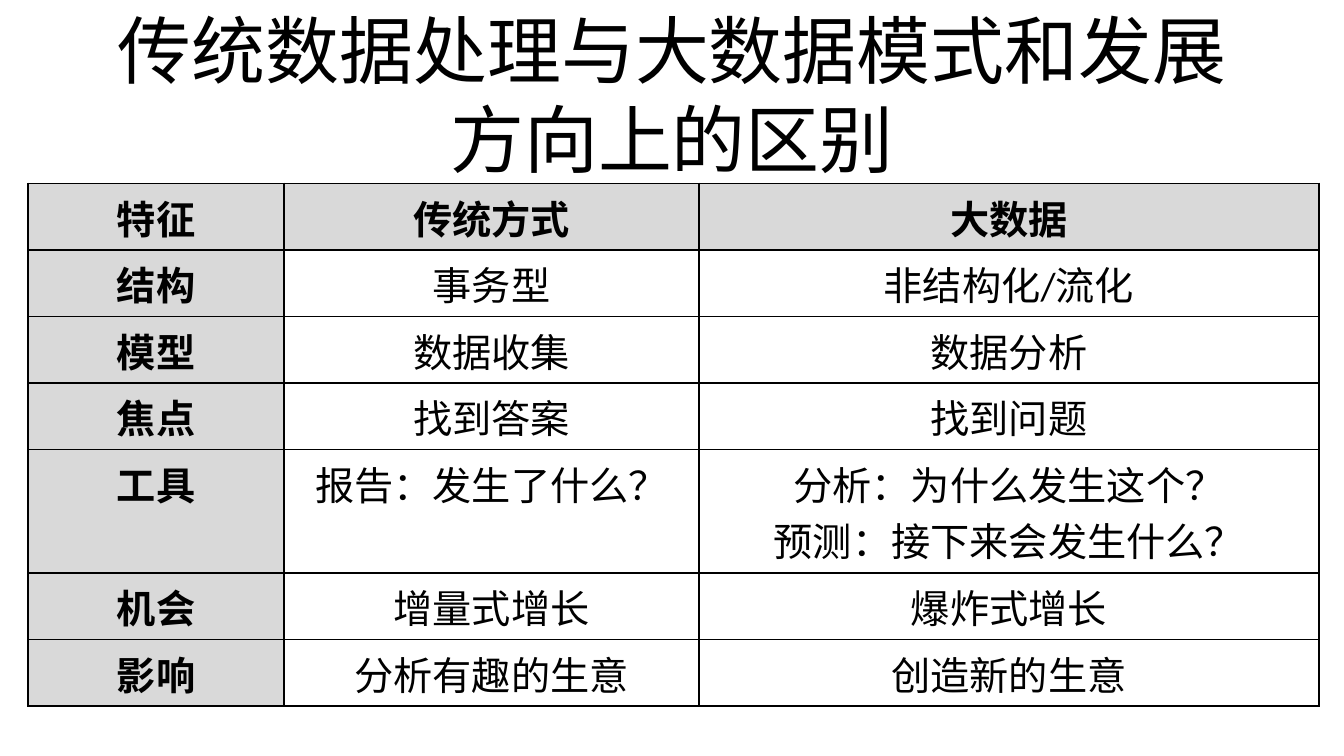
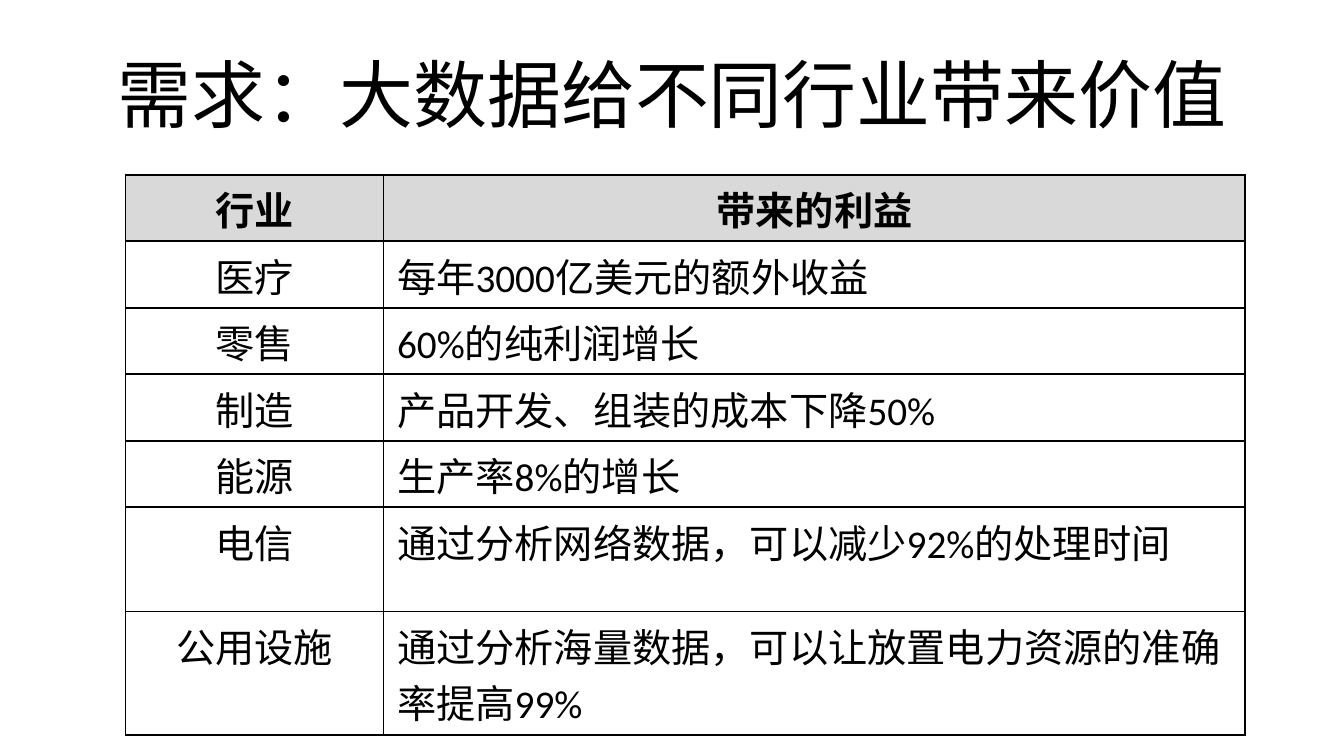
"""Build two slides comparing traditional data handling with big data."""
from lxml.etree import SubElement
from pptx import Presentation
from pptx.dml.color import RGBColor
from pptx.enum.text import MSO_ANCHOR, PP_ALIGN
from pptx.oxml.ns import qn
from pptx.util import Pt

PX = 4572
FONT = "Calibri"
INK = "000000"
HEADER_GREY = "D9D9D9"
BORDER_SIDES = ("a:lnL", "a:lnR", "a:lnT", "a:lnB")


def color(value):
    return RGBColor.from_string(value)


def style(paragraph, size, bold, align):
    paragraph.alignment = align
    paragraph.font.name = FONT
    paragraph.font.size = Pt(size)
    paragraph.font.bold = bold
    paragraph.font.color.rgb = color(INK)


pages = [
    {
        "title": "传统数据处理与大数据模式和发展方向上的区别",
        "origin": (42, 273),
        "widths": (381, 617, 923),
        "heights": (99, 99, 99, 99, 184, 99, 99),
        "grey_first_column": True,
        "left_columns": (),
        "rows": [
            ("特征", "传统方式", "大数据"),
            ("结构", "事务型", "非结构化/流化"),
            ("模型", "数据收集", "数据分析"),
            ("焦点", "找到答案", "找到问题"),
            ("工具", "报告：发生了什么？", "分析：为什么发生这个？\n预测：接下来会发生什么？"),
            ("机会", "增量式增长", "爆炸式增长"),
            ("影响", "分析有趣的生意", "创造新的生意"),
        ],
    },
    {
        "title": "需求：大数据给不同行业带来价值",
        "origin": (187, 260),
        "widths": (384, 1282),
        "heights": (99, 99, 99, 99, 99, 155, 184),
        "grey_first_column": False,
        "left_columns": (1,),
        "rows": [
            ("行业", "带来的利益"),
            ("医疗", "每年3000亿美元的额外收益"),
            ("零售", "60%的纯利润增长"),
            ("制造", "产品开发、组装的成本下降50%"),
            ("能源", "生产率8%的增长"),
            ("电信", "通过分析网络数据，可以减少92%的处理时间"),
            ("公用设施", "通过分析海量数据，可以让放置电力资源的准确率提高99%"),
        ],
    },
]

deck = Presentation()
deck.slide_width, deck.slide_height = 2000 * PX, 1125 * PX

for page in pages:
    slide = deck.slides.add_slide(deck.slide_layouts[6])

    heading = slide.shapes.add_textbox(100 * PX, 45 * PX, 1800 * PX, 187 * PX).text_frame
    heading.word_wrap = True
    heading.margin_left = heading.margin_right = 30 * PX
    heading.vertical_anchor = MSO_ANCHOR.MIDDLE
    heading.text = page["title"]
    style(heading.paragraphs[0], 39.6, False, PP_ALIGN.CENTER)

    rows, widths, heights = page["rows"], page["widths"], page["heights"]
    left, top = page["origin"]
    comparison = slide.shapes.add_table(
        len(rows), len(widths), left * PX, top * PX, sum(widths) * PX, sum(heights) * PX
    ).table
    comparison.first_row = comparison.horz_banding = False
    for column, width in zip(comparison.columns, widths):
        column.width = width * PX
    for row, height in zip(comparison.rows, heights):
        row.height = height * PX

    for r, entries in enumerate(rows):
        for c, entry in enumerate(entries):
            cell = comparison.cell(r, c)
            cell.text = entry
            cell.margin_left = cell.margin_right = 20 * PX
            cell.margin_top = cell.margin_bottom = 8 * PX

            properties = cell._tc.get_or_add_tcPr()
            for side in BORDER_SIDES:
                border = SubElement(properties, qn(side), w=str(Pt(1)))
                border_fill = SubElement(border, qn("a:solidFill"))
                SubElement(border_fill, qn("a:srgbClr"), val=INK)

            is_header = r == 0 or (c == 0 and page["grey_first_column"])
            if is_header:
                cell.fill.solid()
                cell.fill.fore_color.rgb = color(HEADER_GREY)
            else:
                cell.fill.background()

            is_left = r > 0 and c in page["left_columns"]
            for paragraph in cell.text_frame.paragraphs:
                style(paragraph, 21, is_header, PP_ALIGN.LEFT if is_left else PP_ALIGN.CENTER)

deck.save("out.pptx")
